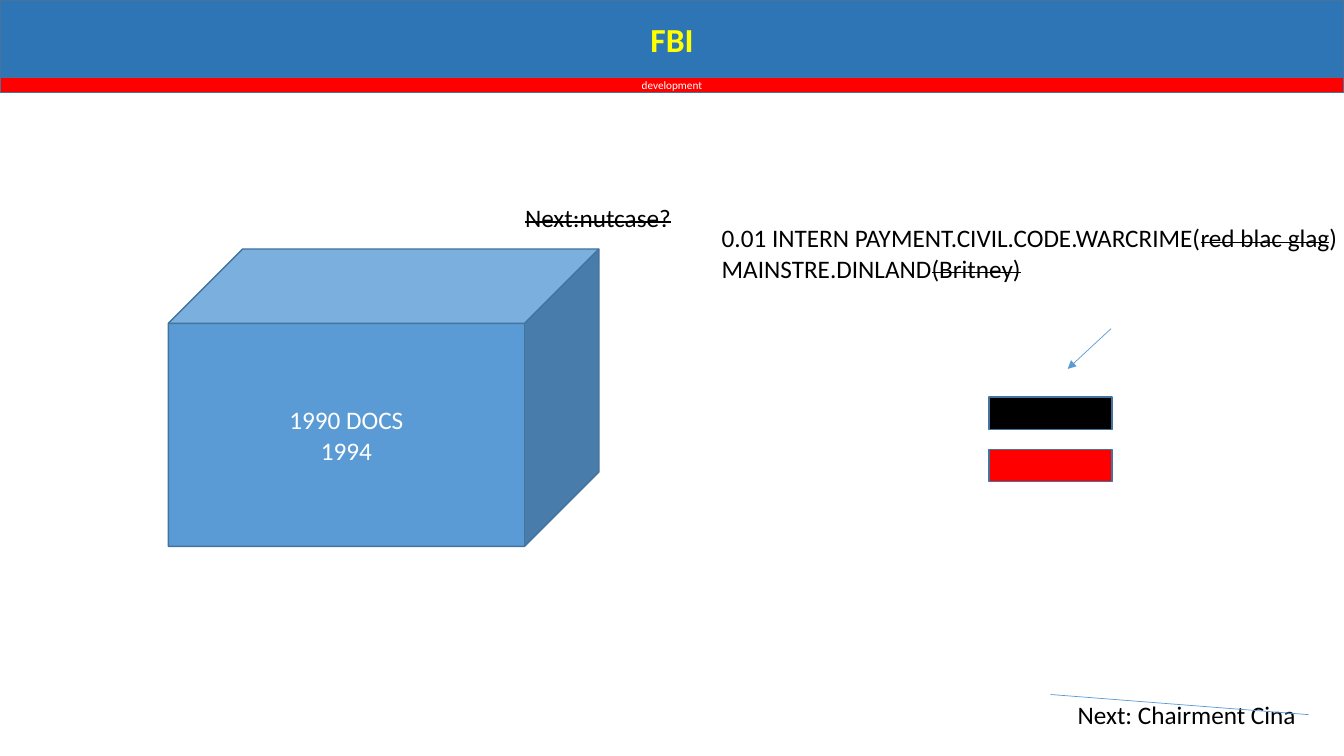
from lxml import etree
from pptx import Presentation
from pptx.dml.color import RGBColor
from pptx.enum.shapes import MSO_CONNECTOR, MSO_SHAPE
from pptx.enum.text import MSO_ANCHOR, MSO_AUTO_SIZE, PP_ALIGN
from pptx.oxml.ns import qn
from pptx.util import Pt

EMU_PER_PX = 9144
RECTANGLE, CUBE = MSO_SHAPE.RECTANGLE, MSO_SHAPE.CUBE
STRAIGHT = MSO_CONNECTOR.STRAIGHT
MIDDLE = MSO_ANCHOR.MIDDLE
FIT_SHAPE = MSO_AUTO_SIZE.SHAPE_TO_FIT_TEXT
LEFT, CENTER = PP_ALIGN.LEFT, PP_ALIGN.CENTER

BLACK, WHITE, RED, YELLOW = "000000", "FFFFFF", "FF0000", "FFFF00"
BANNER_BLUE, BLUE, OUTLINE = "2E75B6", "5B9BD5", "43739E"


def px(*lengths):
    return [length * EMU_PER_PX for length in lengths]


def rgb(value):
    return RGBColor.from_string(value)


def write(frame, lines, size=18, color=BLACK, bold=False, align=LEFT):
    """Fill a frame with lines, each a list of (text, struck) pairs."""
    for index, pieces in enumerate(lines):
        paragraph = frame.add_paragraph() if index else frame.paragraphs[0]
        paragraph.alignment = align
        for text, struck in pieces:
            run = paragraph.add_run()
            run.text = text
            run.font.name = "Calibri"
            run.font.size = Pt(size)
            run.font.bold = bold
            run.font.color.rgb = rgb(color)
            if struck:
                run.font._element.set("strike", "sngStrike")


class SlideBuilder:
    """Draws styled elements on the current slide."""

    def __init__(self, slide):
        self.slide = slide

    def block(self, kind, box, fill, lines=(), **text_format):
        shape = self.slide.shapes.add_shape(kind, *px(*box))
        shape.shadow.inherit = False
        shape.fill.solid()
        shape.fill.fore_color.rgb = rgb(fill)
        shape.line.color.rgb = rgb(OUTLINE)
        shape.line.width = Pt(1)
        shape.text_frame.vertical_anchor = MIDDLE
        write(shape.text_frame, lines, align=CENTER, **text_format)

    def label(self, box, lines):
        frame = self.slide.shapes.add_textbox(*px(*box)).text_frame
        frame.word_wrap = False
        frame.auto_size = FIT_SHAPE
        write(frame, lines)

    def line(self, start, end, arrow=False):
        connector = self.slide.shapes.add_connector(STRAIGHT, *px(*start, *end))
        connector.line.color.rgb = rgb(BLUE)
        connector.line.width = Pt(0.5)
        if arrow:
            outline = connector.line._get_or_add_ln()
            etree.SubElement(outline, qn("a:tailEnd"), type="triangle")
        etree.SubElement(connector._element.spPr, qn("a:effectLst"))


def main():
    presentation = Presentation()
    presentation.slide_width, presentation.slide_height = px(1333, 750)
    builder = SlideBuilder(presentation.slides.add_slide(presentation.slide_layouts[6]))

    builder.block(RECTANGLE, (0, 0, 1333, 77), BANNER_BLUE, [[("FBI", False)]],
                  size=24, color=YELLOW, bold=True)
    builder.block(RECTANGLE, (0, 77, 1333, 15), RED, [[("development", False)]],
                  size=8, color=WHITE)
    builder.label((1059, 689, 239, 40), [[("Next: Chairment Cina", False)]])

    for top, fill in ((446, RED), (394, BLACK)):
        builder.block(RECTANGLE, (981, top, 122, 32), fill)
    builder.line((1102, 326), (1059, 366), arrow=True)

    builder.label((706, 216, 636, 71), [
        [("0.01 INTERN PAYMENT.CIVIL.CODE.WARCRIME(", False),
         ("red blac glag", True), (")", False)],
        [("MAINSTRE.DINLAND", False), ("(Britney)", True)],
    ])
    builder.line((1042, 689), (1298, 709))

    builder.block(CUBE, (167, 247, 427, 295), BLUE,
                  [[("1990 DOCS", False)], [("1994", False)]], color=WHITE)
    builder.label((511, 196, 166, 40), [[("Next:nutcase?", True)]])

    presentation.save("out.pptx")


if __name__ == "__main__":
    main()
